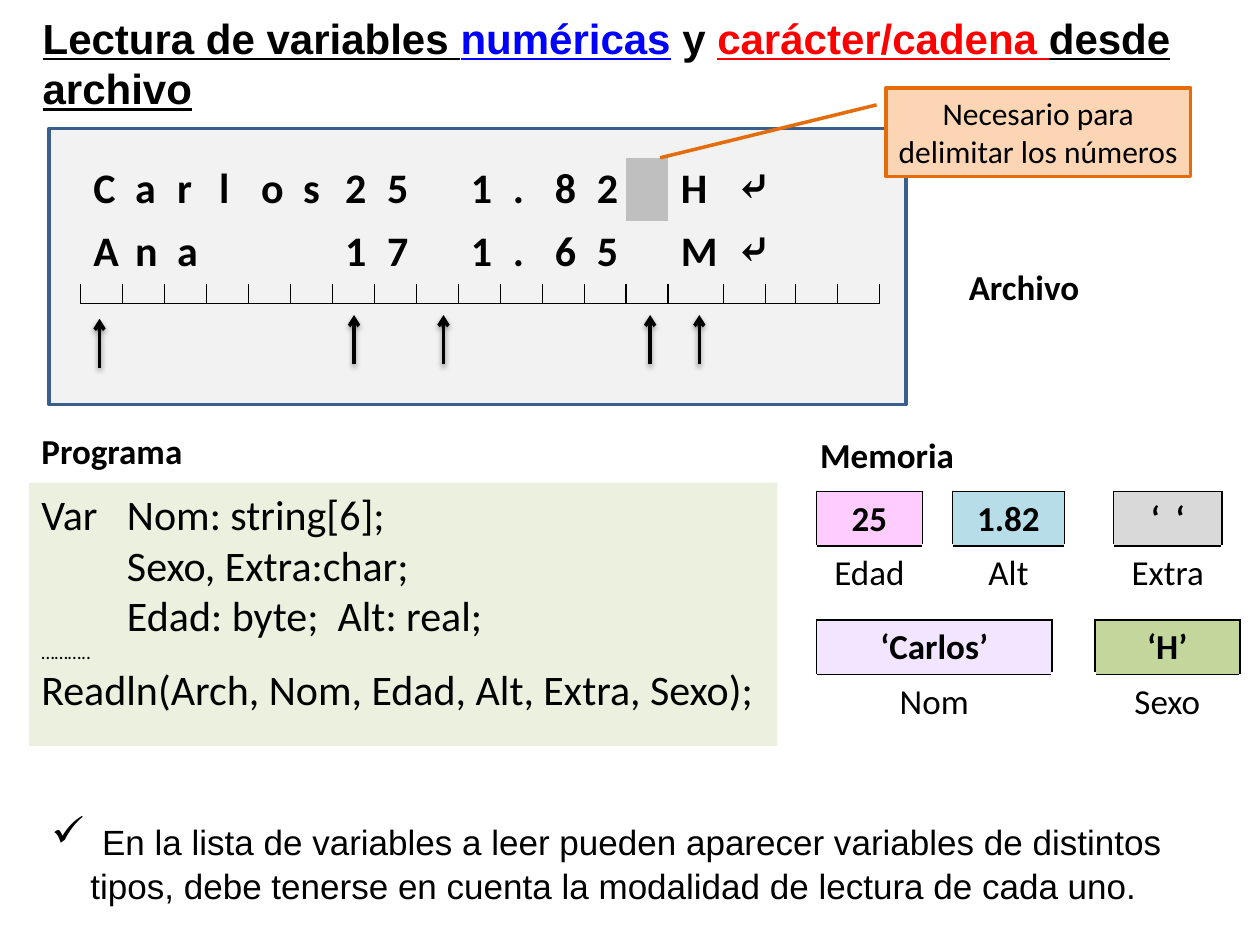
from lxml.etree import SubElement
from pptx import Presentation
from pptx.dml.color import RGBColor
from pptx.enum.shapes import MSO_CONNECTOR as Connector, MSO_SHAPE as Shape
from pptx.enum.text import MSO_ANCHOR as Anchor, PP_ALIGN as Align
from pptx.oxml.ns import qn
from pptx.util import Inches, Pt

BLACK, WHITE, PANEL = "000000", "FFFFFF", "F2F2F2"
NO_STYLE = "{2D5ABB26-0587-4C30-8999-92F81FD0307C}"
SIDES = {"left": "a:lnL", "right": "a:lnR", "top": "a:lnT", "bottom": "a:lnB"}
RECORDS = ["Carlos25 1.82 H⤶   ", "Ana   17 1.65 M⤶   "]
DELIMITER_COLUMN = 13


def color(value):
    return RGBColor.from_string(value)


def child(parent, tag, **attributes):
    return SubElement(parent, qn(tag), {name: str(value) for name, value in attributes.items()})


def style_font(font, size, name="Calibri", ink=BLACK, bold=False, underline=None):
    font.size, font.name, font.bold, font.underline = Pt(size), name, bold, underline
    font.color.rgb = color(ink)


def add_box(slide, box, fill, line=None, kind=Shape.RECTANGLE):
    shape = slide.shapes.add_shape(kind, *map(Inches, box))
    shape.shadow.inherit = False
    shape.fill.solid()
    shape.fill.fore_color.rgb = color(fill)
    if line:
        shape.line.color.rgb = color(line)
        shape.line.width = Pt(2)
    else:
        shape.line.fill.background()
    return shape


def add_text(slide, box):
    frame = slide.shapes.add_textbox(*map(Inches, box)).text_frame
    frame.word_wrap = True
    return frame.paragraphs[0]


def add_run(paragraph, text, size, **style):
    run = paragraph.add_run()
    run.text = text
    style_font(run.font, size, "Arial", **style)


def indent(paragraph, width):
    properties = paragraph._p.get_or_add_pPr()
    properties.set("marL", str(Inches(width)))
    properties.set("indent", str(-Inches(width)))
    return properties


def add_heading(slide, text, left, top):
    paragraph = add_text(slide, (left, top, 1.48, 0.44))
    paragraph.text = text
    style_font(paragraph.font, 20, bold=True)


def add_arrow(slide, x, bottom):
    arrow = slide.shapes.add_connector(
        Connector.STRAIGHT, Inches(x), Inches(bottom), Inches(x), Inches(bottom - 0.39))
    arrow.line.color.rgb = color(BLACK)
    arrow.line.width = Pt(2)
    child(arrow.line._get_or_add_ln(), "a:tailEnd", type="arrow")
    effects = child(arrow._element.spPr, "a:effectLst")
    shadow = child(effects, "a:outerShdw", blurRad=Pt(3.1), dist=Pt(1.6), dir=5400000, rotWithShape=0)
    child(child(shadow, "a:srgbClr", val=BLACK), "a:alpha", val=38000)


def add_table(slide, left, top, widths, heights):
    table = slide.shapes.add_table(
        len(heights), len(widths), Inches(left), Inches(top),
        Inches(sum(widths)), Inches(sum(heights))).table
    table.first_row = table.horz_banding = False
    table._tbl.tblPr.find(qn("a:tableStyleId")).text = NO_STYLE
    for column, width in zip(table.columns, widths):
        column.width = Inches(width)
    for row, height in zip(table.rows, heights):
        row.height = Inches(height)
    return table


def fill_cell(cell, fill, text="", borders=None, size=20, bold=True, font="Calibri", align=Align.CENTER):
    paragraph = cell.text_frame.paragraphs[0]
    if text:
        paragraph.text = text
        paragraph.alignment = align
        style_font(paragraph.font, size, font, bold=bold)
    else:
        child(paragraph._p, "a:endParaRPr", sz=size * 100)
    properties = cell._tc.get_or_add_tcPr()
    for side, tag in SIDES.items():
        if side in (borders or {}):
            ink, width = borders[side]
            line = child(properties, tag, w=Pt(width))
            child(child(line, "a:solidFill"), "a:srgbClr", val=ink)
    cell.fill.solid()
    cell.fill.fore_color.rgb = color(fill)


def add_file_table(slide):
    widths = [1 / 3] * 14 + [0.44, 1 / 3, 0.23] + [1 / 3] * 2
    table = add_table(slide, 0.64, 1.25, widths, [0.43, 0.43, 0.16, 0.18])
    line = (BLACK, 1)
    for column in range(len(widths)):
        for row, record in enumerate(RECORDS):
            letter = record[column].strip()
            gray = row == 0 and column == DELIMITER_COLUMN
            fill_cell(table.cell(row, column), "BFBFBF" if gray else PANEL, letter, size=24,
                      font="Cambria" if letter == "⤶" else "Calibri", align=Align.LEFT)
        fill_cell(table.cell(2, column), PANEL, size=3,
                  borders={"left": line, "right": line, "bottom": line})
        fill_cell(table.cell(3, column), PANEL, size=3, borders={"top": line})


def add_memory_table(slide, top, widths, variables):
    table = add_table(slide, 6.48, top, widths, [0.43, 0.43])
    black, white = dict.fromkeys(SIDES, (BLACK, 1)), dict.fromkeys(SIDES, (WHITE, 1))
    gap = {**black, "top": (WHITE, 1), "bottom": (WHITE, 3)}
    for column in range(len(widths)):
        value_cell, name_cell = table.cell(0, column), table.cell(1, column)
        if column % 2:
            fill_cell(value_cell, WHITE, borders=gap)
            fill_cell(name_cell, WHITE, borders=white)
        else:
            value, name, fill = variables[column // 2]
            fill_cell(value_cell, fill, value, black)
            fill_cell(name_cell, WHITE, name, {**white, "top": (BLACK, 1)}, bold=False)


def add_title(slide):
    title = add_text(slide, (0.24, 0.05, 9.52, 1.18))
    for text, ink, underline in [
        ("Lectura de variables ", BLACK, True), ("numéricas", "0000FF", True), (" y ", BLACK, False),
        ("carácter/cadena ", "FF0000", True), ("desde archivo", BLACK, True),
    ]:
        add_run(title, text, 24, ink=ink, bold=True, underline=underline)


def add_program(slide):
    frame = add_box(slide, (0.23, 3.83, 5.94, 2.09), "EBF1DE").text_frame
    frame.word_wrap = True
    frame.vertical_anchor = Anchor.TOP
    lines = [("Var\tNom: string[6];", 24), ("\tSexo, Extra:char;", 24),
             ("\tEdad: byte;  Alt: real;", 24), ("………..", 11),
             ("Readln(Arch, Nom, Edad, Alt, Extra, Sexo);", 24)]
    for number, (text, size) in enumerate(lines):
        paragraph = frame.add_paragraph() if number else frame.paragraphs[0]
        paragraph.text = text
        paragraph.alignment = Align.LEFT
        style_font(paragraph.font, size)
        if "\t" in text:
            indent(paragraph, 0.68)


def add_note(slide):
    note = add_text(slide, (0.31, 6.41, 9.3, 0.84))
    child(indent(note, 0.31), "a:buChar", char="✓")
    add_run(note, " ", 24)
    add_run(note, "En la lista de variables a leer pueden aparecer variables de distintos tipos, "
                  "debe tenerse en cuenta la modalidad de lectura de cada uno.", 20)


def add_callout(slide):
    callout = add_box(slide, (7.03, 0.7, 2.42, 0.7), "FCD5B5", "E46C0A", Shape.LINE_CALLOUT_1)
    for index, value in enumerate([0.19, -0.03, 0.79, -0.74]):
        callout.adjustments[index] = value
    frame = callout.text_frame
    frame.word_wrap = True
    frame.margin_left = frame.margin_right = Inches(0.05)
    frame.vertical_anchor = Anchor.MIDDLE
    paragraph = frame.paragraphs[0]
    paragraph.text = "Necesario para delimitar los números"
    paragraph.alignment = Align.CENTER
    style_font(paragraph.font, 18)


def main():
    presentation = Presentation()
    presentation.slide_width, presentation.slide_height = Inches(10), Inches(7.5)
    slide = presentation.slides.add_slide(presentation.slide_layouts[6])
    add_box(slide, (0.39, 1.02, 6.8, 2.19), PANEL, "3A5F8C")
    add_title(slide)
    add_note(slide)
    add_file_table(slide)
    add_program(slide)
    for text, left, top in [("Archivo", 7.59, 2.06), ("Programa", 0.23, 3.36), ("Memoria", 6.41, 3.39)]:
        add_heading(slide, text, left, top)
    add_memory_table(slide, 3.9, [0.84, 0.23, 0.89, 0.39, 0.86], [
        ("25", "Edad", "FFCCFF"), ("1.82", "Alt", "B7DEE8"), ("‘  ‘", "Extra", "D9D9D9")])
    add_memory_table(slide, 4.92, [1.87, 0.34, 1.15], [
        ("‘Carlos’", "Nom", "F2E5FF"), ("‘H’", "Sexo", "C3D69B")])
    add_arrow(slide, 0.79, 2.92)
    for x in (2.81, 3.52, 5.16, 5.55):
        add_arrow(slide, x, 2.89)
    add_callout(slide)
    presentation.save("out.pptx")


if __name__ == "__main__":
    main()
